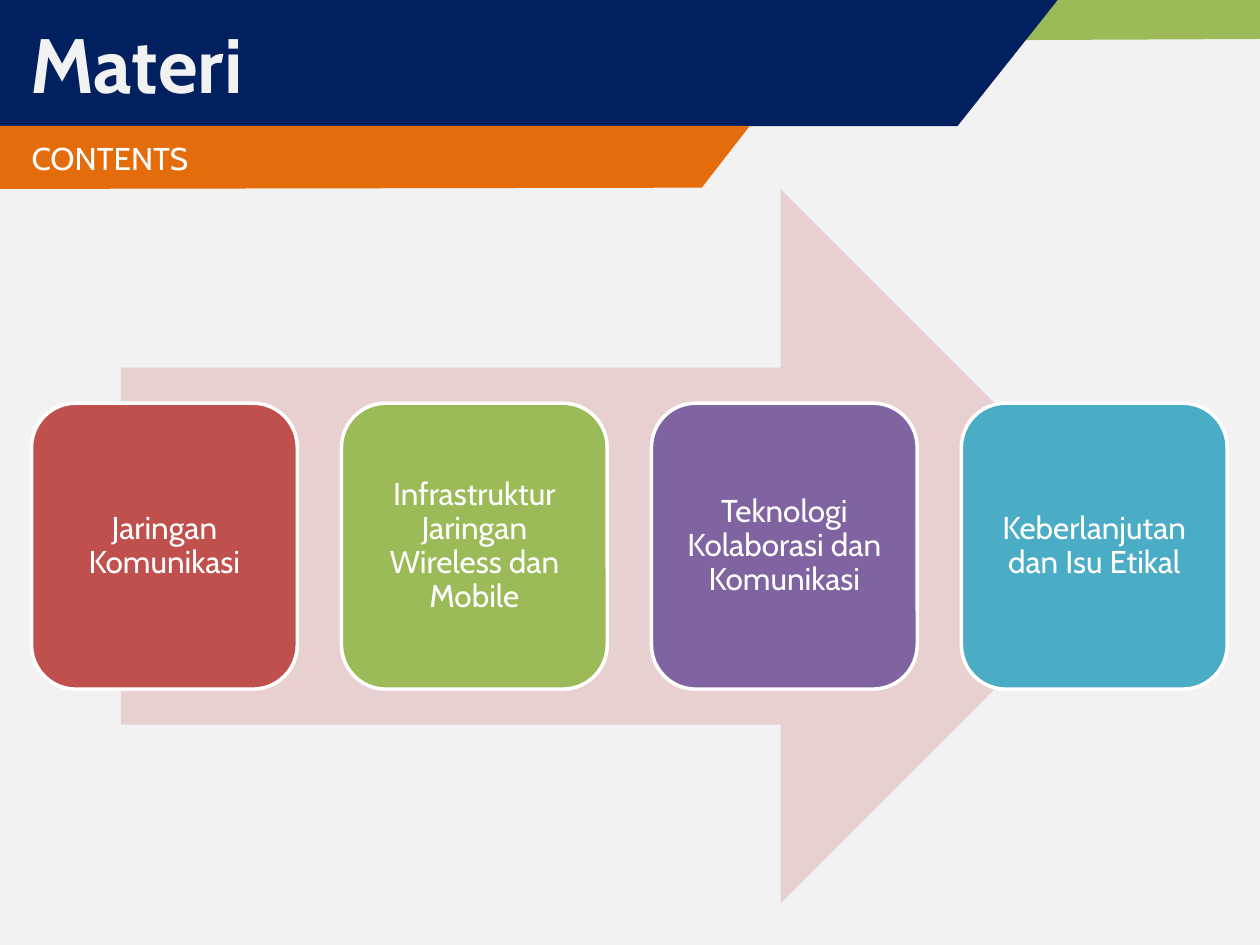
from pptx import Presentation
from pptx import util as u
from pptx.dml.color import RGBColor
from pptx.enum import shapes, text


def color(value):
    return RGBColor.from_string(value)


class SlideBuilder:
    font_name = "Cabin"
    light = "F2F2F2"
    white = "FFFFFF"

    def __init__(self, deck):
        self.slide = deck.slides.add_slide(deck.slide_layouts[6])
        background = self.slide.background.fill
        background.solid()
        background.fore_color.rgb = color(self.light)

    def paint(self, shape, fill, outline=None):
        shape.shadow.inherit = False
        shape.fill.solid()
        shape.fill.fore_color.rgb = color(fill)
        if outline:
            shape.line.color.rgb = color(outline)
            shape.line.width = u.Pt(2)
        else:
            shape.line.fill.background()

    def label(self, shape, wording, size, ink, align, margins, bold=False, spacing=1.0):
        frame = shape.text_frame
        frame.text = wording
        frame.word_wrap = True
        frame.vertical_anchor = text.MSO_ANCHOR.MIDDLE
        left, top, right, bottom = (u.Inches(margin) for margin in margins)
        frame.margin_left, frame.margin_top = left, top
        frame.margin_right, frame.margin_bottom = right, bottom
        para = frame.paragraphs[0]
        para.alignment = align
        para.line_spacing = spacing
        for span in para.runs:
            span.font.name = self.font_name
            span.font.size = u.Pt(size)
            span.font.bold = bold
            span.font.color.rgb = color(ink)

    def banner(self, points, fill):
        corners = [(u.Inches(x), u.Inches(y)) for x, y in points]
        builder = self.slide.shapes.build_freeform(*corners[0])
        builder.add_line_segments(corners[1:], close=True)
        shape = builder.convert_to_shape()
        self.paint(shape, fill)
        return shape

    def heading(self, shape, wording, size, ink, indent, bold=False):
        margins = (indent, 0.05, 0.1, 0.05)
        self.label(shape, wording, size, ink, text.PP_ALIGN.LEFT, margins, bold)

    def title(self, wording):
        box = self.slide.shapes.add_textbox(0, 0, u.Inches(10), u.Inches(1))
        self.heading(box, wording, 44, self.light, 0.24, bold=True)

    def preset(self, kind, left, top, width, height, fill, outline=None):
        bounds = [u.Inches(value) for value in (left, top, width, height)]
        shape = self.slide.shapes.add_shape(kind, *bounds)
        self.paint(shape, fill, outline)
        return shape

    def arrow(self, left, top, width, height, fill):
        self.preset(shapes.MSO_SHAPE.RIGHT_ARROW, left, top, width, height, fill)

    def card(self, left, top, width, height, fill, wording):
        kind = shapes.MSO_SHAPE.ROUNDED_RECTANGLE
        box = self.preset(kind, left, top, width, height, fill, self.white)
        self.label(box, wording, 18, self.white, text.PP_ALIGN.CENTER, (0.07,) * 4, spacing=0.9)


def main():
    deck = Presentation()
    deck.slide_width = u.Inches(10)
    deck.slide_height = u.Inches(7.5)
    page = SlideBuilder(deck)

    page.banner([(5.69, 0), (10, 0), (10, 0.31), (5.58, 0.33)], "9BBB59")
    page.banner([(0, 0), (8.41, -0.02), (7.6, 1), (0, 1)], "002060")
    page.title("Materi")

    page.arrow(0.96, 1.5, 8.07, 5.67, "E8D0D0")
    topics = [
        ("Jaringan Komunikasi", "C0504D"),
        ("Infrastruktur Jaringan Wireless dan Mobile", "9BBB59"),
        ("Teknologi Kolaborasi dan Komunikasi", "8064A2"),
        ("Keberlanjutan dan Isu Etikal", "4BACC6"),
    ]
    first_left, card_step = 0.25, 2.46
    for index, (topic, fill) in enumerate(topics):
        page.card(first_left + index * card_step, 3.2, 2.11, 2.27, fill, topic)

    subtitle = page.banner([(0, 1), (5.95, 1), (5.57, 1.49), (0, 1.5)], "E46C0A")
    page.heading(subtitle, "CONTENTS", 18, page.white, 0.25)

    deck.save("out.pptx")


if __name__ == "__main__":
    main()
